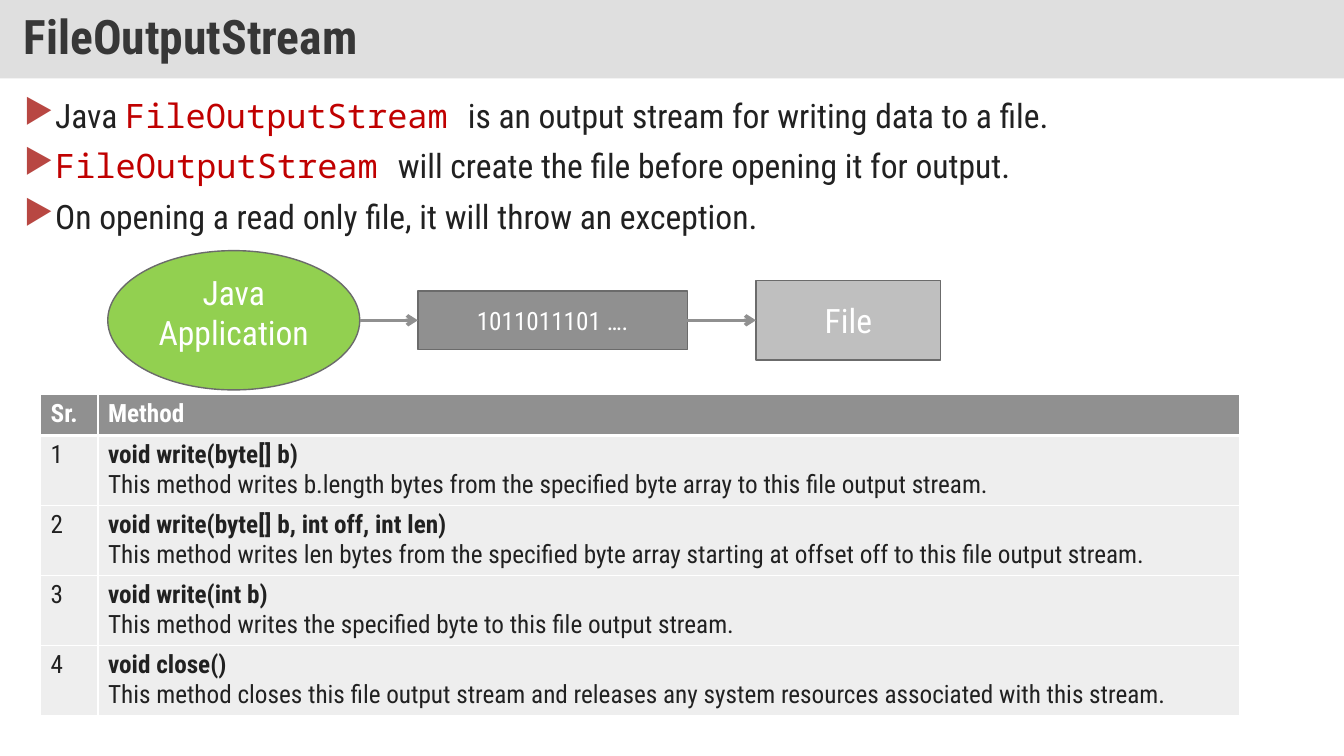
"""Build a slide explaining FileOutputStream with a data-flow diagram and method tables."""
from lxml import etree
from pptx import Presentation
from pptx.dml.color import RGBColor
from pptx.enum.shapes import MSO_CONNECTOR, MSO_SHAPE
from pptx.enum.text import MSO_ANCHOR, MSO_AUTO_SIZE, PP_ALIGN
from pptx.oxml.ns import qn
from pptx.util import Pt

LEFT, CENTER, JUSTIFY = PP_ALIGN.LEFT, PP_ALIGN.CENTER, PP_ALIGN.JUSTIFY
MIDDLE = MSO_ANCHOR.MIDDLE
OVAL, RECTANGLE = MSO_SHAPE.OVAL, MSO_SHAPE.RECTANGLE
STRAIGHT, NO_AUTOFIT = MSO_CONNECTOR.STRAIGHT, MSO_AUTO_SIZE.NONE

FONT, CODE_FONT = "Roboto Condensed", "Noto Sans Mono"
COLORS = {
    "title": "373737", "band": "C0C0C0", "text": "212121", "code": "C00000",
    "bullet": "B84742", "white": "FFFFFF", "outline": "6B6B6B",
    "green": "92D050", "gray": "909090", "silver": "BFBFBF", "row": "EEEEEE",
}

TITLE = "FileOutputStream"
CLASS_NAME = "FileOutputStream "
BULLETS = [
    ["Java ", CLASS_NAME, "is an output stream for writing data to a file."],
    [CLASS_NAME, "will create the file before opening it for output."],
    ["On opening a read only file, it will throw an exception."],
]
FLOW = [
    ("Java Application", OVAL, 77, 180, 99.5, "green", 24, (7.2, 0, 7.2, 11.5)),
    ("1011011101 ….", RECTANGLE, 298.5, 192.5, 42, "gray", 18, (7.2, 3.6, 7.2, 3.6)),
    ("File", RECTANGLE, 540, 132, 57, "silver", 24, (7.2, 3.6, 7.2, 3.6)),
]
HEADER = ("Sr.", "Method")
METHODS = [
    ("void write(byte[] b)",
     "This method writes b.length bytes from the specified byte array to this file output stream."),
    ("void write(byte[] b, int off, int len)",
     "This method writes len bytes from the specified byte array starting at offset off to this file output stream."),
    ("void write(int b)",
     "This method writes the specified byte to this file output stream."),
    ("void close()",
     "This method closes this file output stream and releases any system resources associated with this stream."),
]

FLOW_CENTER = 228.8
TABLE_LEFT, TABLE_TOP = 29, 281.5
COLUMN_WIDTHS = (41, 815.5)
HEADER_HEIGHT, ROW_HEIGHT = 29.5, 50


def rgb(name):
    return RGBColor.from_string(COLORS[name])


def add_color(parent, tag, name):
    holder = etree.SubElement(parent, qn(tag))
    return etree.SubElement(holder, qn("a:srgbClr"), val=COLORS[name])


def format_runs(paragraph, size, color, bold=False, font=FONT):
    for run in paragraph.runs:
        run.font.name, run.font.size, run.font.bold = font, Pt(size), bold
        run.font.color.rgb = rgb(color)


def set_margins(frame, margins):
    frame.margin_left, frame.margin_top, frame.margin_right, frame.margin_bottom = map(Pt, margins)


def place_title(slide):
    title = slide.shapes.title
    title.left, title.top, title.width, title.height = Pt(0), Pt(0), Pt(960), Pt(56)
    title.fill.solid()
    title.fill.fore_color.rgb = rgb("band")
    band = title.fill._xPr.find(qn("a:solidFill"))[0]
    etree.SubElement(band, qn("a:alpha"), val="50000")
    frame = title.text_frame
    frame.text = TITLE
    frame.word_wrap, frame.auto_size, frame.vertical_anchor = True, NO_AUTOFIT, MIDDLE
    set_margins(frame, (17, 8.5, 17, 8.5))
    paragraph = frame.paragraphs[0]
    paragraph.alignment, paragraph.line_spacing = LEFT, 0.9
    format_runs(paragraph, 34, "title", True)


def add_bullets(slide):
    frame = slide.shapes.add_textbox(Pt(10), Pt(67.5), Pt(940), Pt(110)).text_frame
    frame.word_wrap = True
    for index, parts in enumerate(BULLETS):
        paragraph = frame.add_paragraph() if index else frame.paragraphs[0]
        paragraph.alignment, paragraph.line_spacing = JUSTIFY, 0.9
        paragraph.space_before = Pt(10)
        for part in parts:
            paragraph.add_run().text = part
        format_runs(paragraph, 24, "text")
        for run in paragraph.runs:
            if run.text == CLASS_NAME:
                run.font.name = CODE_FONT
                run.font.color.rgb = rgb("code")
        properties = paragraph._p.get_or_add_pPr()
        properties.set("marL", str(Pt(21)))
        properties.set("indent", str(-Pt(21)))
        add_color(properties, "a:buClr", "bullet")
        etree.SubElement(properties, qn("a:buChar"), char="▶")


def add_flow_shape(slide, text, kind, left, width, height, color, size, margins):
    top = FLOW_CENTER - height / 2
    shape = slide.shapes.add_shape(kind, Pt(left), Pt(top), Pt(width), Pt(height))
    shape.shadow.inherit = False
    shape.fill.solid()
    shape.fill.fore_color.rgb = rgb(color)
    shape.line.color.rgb = rgb("outline")
    shape.line.width = Pt(1)
    frame = shape.text_frame
    frame.text = text
    frame.word_wrap, frame.vertical_anchor = True, MIDDLE
    set_margins(frame, margins)
    frame.paragraphs[0].alignment = CENTER
    format_runs(frame.paragraphs[0], size, "white")
    return shape


def add_arrow(slide, source, target):
    start, end = source.left + source.width, target.left
    arrow = slide.shapes.add_connector(STRAIGHT, start, Pt(FLOW_CENTER), end, Pt(FLOW_CENTER))
    arrow.line.color.rgb = rgb("gray")
    arrow.line.width = Pt(2.5)
    etree.SubElement(arrow.line._get_or_add_ln(), qn("a:tailEnd"), type="arrow")
    etree.SubElement(arrow._element.spPr, qn("a:effectLst"))


def fill_cell(cell, lines, text_color, fill, bold_first, bottom_border=1):
    properties = cell._tc.get_or_add_tcPr()
    for side, width in (("L", 1), ("R", 1), ("T", 1), ("B", bottom_border)):
        border = etree.SubElement(properties, qn(f"a:ln{side}"), w=str(Pt(width)))
        add_color(border, "a:solidFill", "white")
    cell.fill.solid()
    cell.fill.fore_color.rgb = rgb(fill)
    cell.text_frame.text = "\n".join(lines)
    for index, paragraph in enumerate(cell.text_frame.paragraphs):
        paragraph.alignment = JUSTIFY if index else LEFT
        format_runs(paragraph, 18, text_color, bold_first and index == 0)


def add_method_table(slide, number, method, top, with_header):
    heights = [HEADER_HEIGHT, ROW_HEIGHT] if with_header else [ROW_HEIGHT]
    table = slide.shapes.add_table(
        len(heights), 2, Pt(TABLE_LEFT), Pt(top), Pt(sum(COLUMN_WIDTHS)), Pt(sum(heights))).table
    table.first_row = table.horz_banding = False
    for column, width in zip(table.columns, COLUMN_WIDTHS):
        column.width = Pt(width)
    for row, height in zip(table.rows, heights):
        row.height = Pt(height)
    if with_header:
        for cell, label in zip(table.rows[0].cells, HEADER):
            fill_cell(cell, [label], "white", "gray", True, 3)
    number_cell, method_cell = table.rows[len(heights) - 1].cells
    fill_cell(number_cell, [str(number)], "text", "row", False)
    fill_cell(method_cell, method, "text", "row", True)
    return top + sum(heights)


def main():
    presentation = Presentation()
    presentation.slide_width, presentation.slide_height = Pt(960), Pt(540)
    slide = presentation.slides.add_slide(presentation.slide_layouts[5])
    place_title(slide)
    add_bullets(slide)
    shapes = [add_flow_shape(slide, *item) for item in FLOW]
    for source, target in zip(shapes, shapes[1:]):
        add_arrow(slide, source, target)
    top = TABLE_TOP
    for number, method in enumerate(METHODS, 1):
        top = add_method_table(slide, number, method, top, number == 1)
    presentation.save("out.pptx")


if __name__ == "__main__":
    main()
